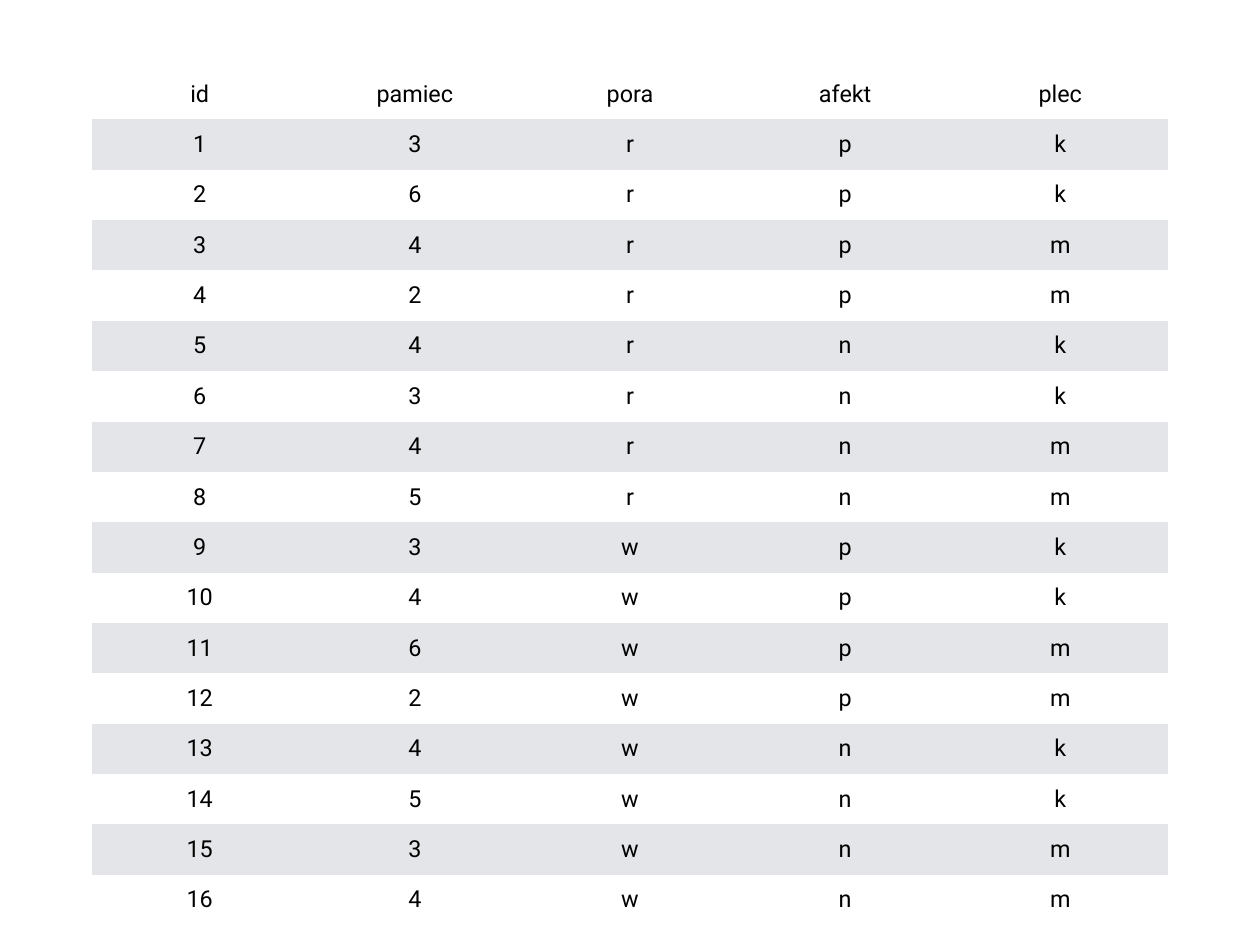
from dataclasses import dataclass
from itertools import product

from pptx import Presentation, util as u
from pptx.dml.color import RGBColor
from pptx.enum import text
from pptx.oxml.ns import qn
from pptx.table import Table

BLACK = RGBColor(0x00, 0x00, 0x00)
WHITE = RGBColor(0xFF, 0xFF, 0xFF)
BAND_GREY = RGBColor(0xE3, 0xE5, 0xE8)
NO_STYLE_NO_GRID = "{2D5ABB26-0587-4C30-8999-92F81FD0307C}"
INSET = u.Cm(0.15)


@dataclass(frozen=True)
class Observation:
    labels: tuple[str, ...]
    fill: RGBColor


def fill_row(table: Table, index: int, row: Observation) -> None:
    """Write one row of the data table, centred on its band colour."""
    for cell, label in zip(table.rows[index].cells, row.labels):
        cell.fill.solid()
        cell.fill.fore_color.rgb = row.fill
        cell.margin_left = cell.margin_right = INSET
        cell.margin_top = cell.margin_bottom = INSET
        cell.vertical_anchor = text.MSO_ANCHOR.MIDDLE
        paragraph = cell.text_frame.paragraphs[0]
        paragraph.text = label
        paragraph.alignment = text.PP_ALIGN.CENTER
        font = paragraph.runs[0].font
        font.name, font.size, font.bold = "Roboto", u.Pt(19), False
        font.color.rgb = BLACK


# Data: memory scores for every time of day, affect and sex, two people each
header = ("id", "pamiec", "pora", "afekt", "plec")
pamiec = "3642434534624534"
conditions = product("rw", "pn", "kkmm")
people = [
    (str(number), score, *condition)
    for number, (score, condition) in enumerate(zip(pamiec, conditions), start=1)
]
observations = [
    Observation(labels, BAND_GREY if index % 2 else WHITE)
    for index, labels in enumerate([header, *people])
]

# Slide
deck = Presentation()
deck.slide_width, deck.slide_height = u.Cm(36.12), u.Cm(27.1)
slide = deck.slides.add_slide(deck.slide_layouts[6])

# Table with equal rows and columns, without borders
frame = slide.shapes.add_table(
    len(observations), len(header),
    u.Cm(2.64), u.Cm(1.98), u.Cm(30.84), u.Cm(24.55),
)
data_table = frame.table
data_table.first_row = data_table.horz_banding = False
next(frame.element.iter(qn("a:tableStyleId"))).text = NO_STYLE_NO_GRID
for index, observation in enumerate(observations):
    fill_row(data_table, index, observation)

deck.save("out.pptx")
